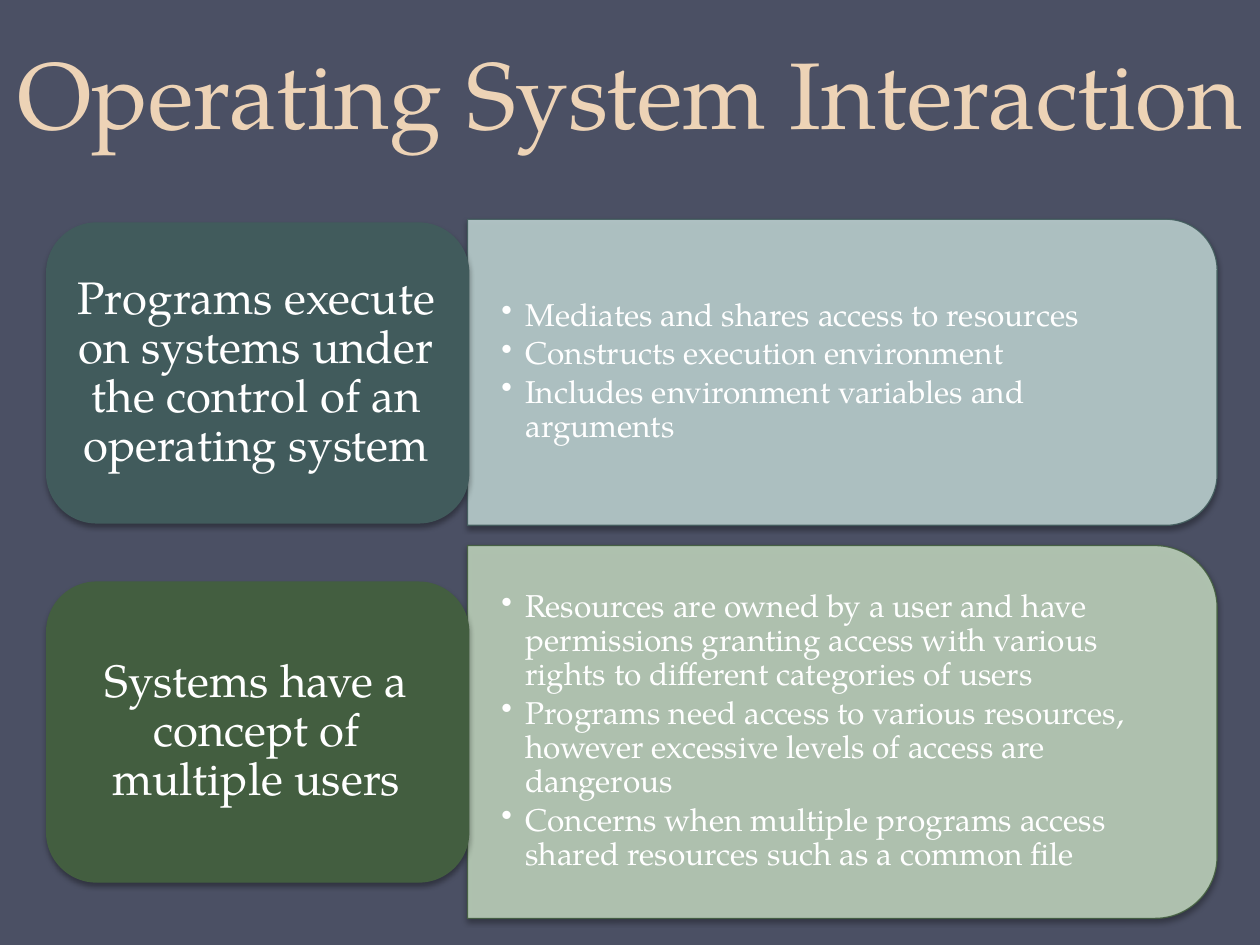
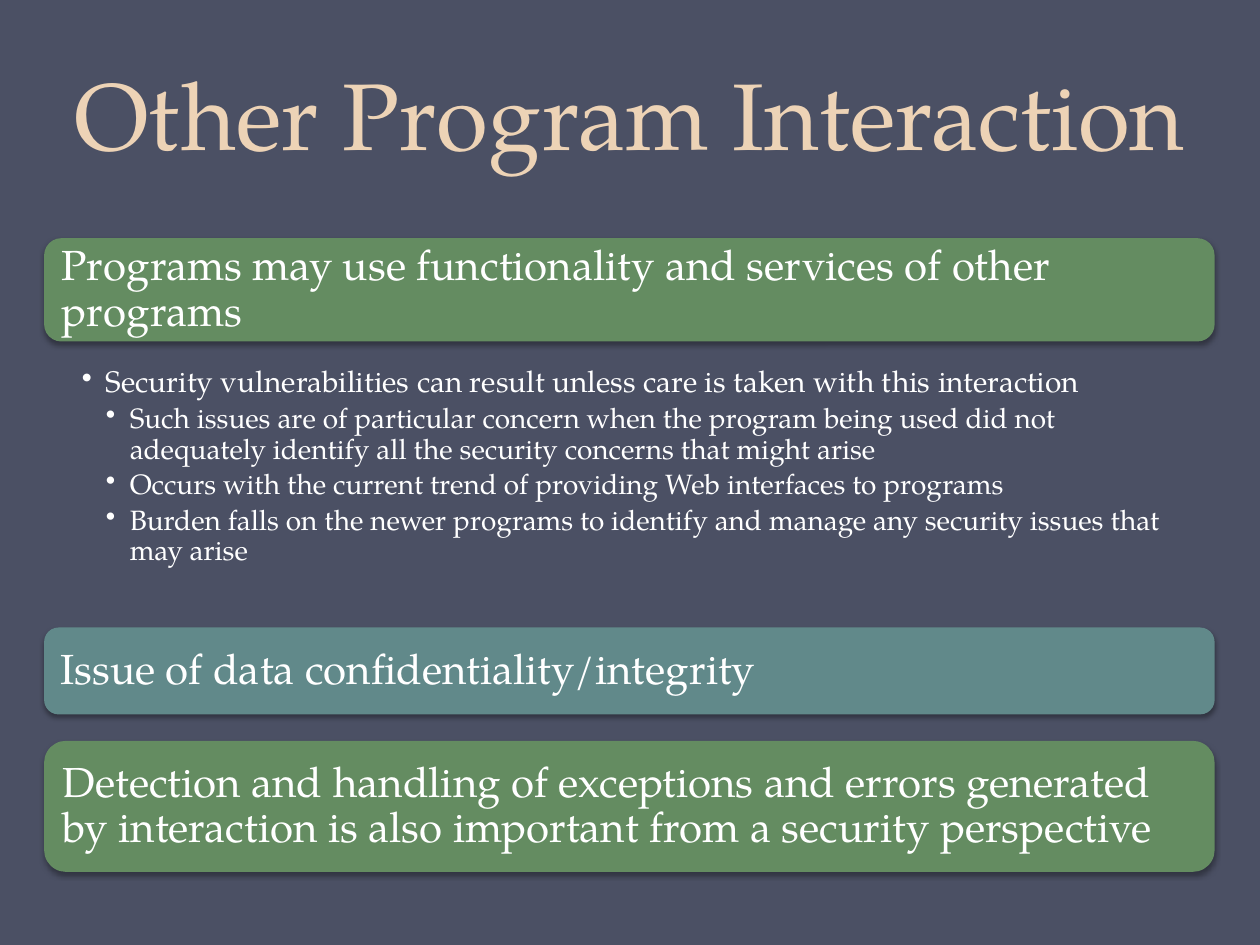
"""Two slides on how programs interact with the operating system and with each other."""
from lxml import etree
from pptx import Presentation
from pptx.dml.color import RGBColor
from pptx.enum.shapes import MSO_SHAPE
from pptx.enum.text import MSO_ANCHOR, PP_ALIGN
from pptx.oxml import parse_xml
from pptx.oxml.ns import nsdecls, qn
from pptx.util import Pt

PX = 9144
FONT = "TeX Gyre Pagella"
BACKGROUND = RGBColor(0x4B, 0x50, 0x64)
TITLE = RGBColor(0xED, 0xD3, 0xB6)
WHITE = RGBColor(0xFF, 0xFF, 0xFF)
DARK_TEAL = RGBColor(0x41, 0x5B, 0x5C)
PALE_TEAL = RGBColor(0xBA, 0xCE, 0xCE)
DARK_GREEN = RGBColor(0x43, 0x5E, 0x40)
PALE_GREEN = RGBColor(0xBC, 0xD0, 0xBA)
TEAL = RGBColor(0x61, 0x89, 0x8A)
GREEN = RGBColor(0x64, 0x8C, 0x61)

ROUND, ROUND_TOP = MSO_SHAPE.ROUNDED_RECTANGLE, MSO_SHAPE.ROUND_2_SAME_RECTANGLE
TOP, MIDDLE, BOTTOM = MSO_ANCHOR.TOP, MSO_ANCHOR.MIDDLE, MSO_ANCHOR.BOTTOM
LEFT, CENTER = PP_ALIGN.LEFT, PP_ALIGN.CENTER
SHADOW = (
    f'<a:effectLst {nsdecls("a")}><a:outerShdw blurRad="39370" dist="22860" dir="5400000" '
    'rotWithShape="0"><a:srgbClr val="000000"><a:alpha val="35000"/></a:srgbClr>'
    '</a:outerShdw></a:effectLst>'
)


def add_panel(s, kind, box, fill, line=None, alpha=None):
    x, y, w, h = box
    if kind == ROUND_TOP:
        x, y, w, h = x + (w - h) / 2, y + (h - w) / 2, h, w
    sp = s.shapes.add_shape(kind, *(round(v * PX) for v in (x, y, w, h)))
    sp.rotation = 90 if kind == ROUND_TOP else 0
    sp.fill.solid()
    sp.fill.fore_color.rgb = fill
    if line is None:
        sp.line.fill.background()
    else:
        sp.line.color.rgb = line
        sp.line.width = Pt(0.75)
    props = sp.fill._xPr
    if alpha:
        for color in props.iter(qn("a:srgbClr")):
            etree.SubElement(color, qn("a:alpha"), val=str(alpha * 1000))
    props.append(parse_xml(SHADOW))


def add_text(s, box, paragraphs, anchor=MIDDLE, align=LEFT, insets=(10, 5),
             color=WHITE, spacing=0.9, after=0):
    x, y, w, h = box
    tf = s.shapes.add_textbox(x * PX, y * PX, w * PX, h * PX).text_frame
    tf.word_wrap = True
    tf.vertical_anchor = anchor
    tf.margin_left = tf.margin_right = insets[0] * PX
    tf.margin_top = tf.margin_bottom = insets[1] * PX
    for i, (text, size, level) in enumerate(paragraphs):
        p = tf.paragraphs[0] if i == 0 else tf.add_paragraph()
        p.alignment = align
        if level:
            p.level = level
            pPr = p._p.get_or_add_pPr()
            pPr.set("marL", str(19 * level * PX))
            pPr.set("indent", str(-19 * PX))
            etree.SubElement(pPr, qn("a:buChar"), char="•")
        p.line_spacing = spacing
        p.space_after = Pt(size * after)
        r = p.add_run()
        r.text = text
        r.font.name = FONT
        r.font.size = Pt(size)
        r.font.color.rgb = color


prs = Presentation()
prs.slide_width, prs.slide_height = 1000 * PX, 750 * PX

slides = []
for title, top, height in [("Operating System Interaction", 3, 120),
                           ("Other Program Interaction", 0, 139)]:
    s = prs.slides.add_slide(prs.slide_layouts[6])
    s.background.fill.solid()
    s.background.fill.fore_color.rgb = BACKGROUND
    add_text(s, (0, top, 1000, height), [(title, 54, 0)], BOTTOM, CENTER,
             color=TITLE, spacing=Pt(58))
    slides.append(s)
system_slide, program_slide = slides

topics = [
    ("Programs execute on systems under the control of an operating system",
     DARK_TEAL, PALE_TEAL, 177, 174, 243, 583,
     ["Mediates and shares access to resources",
      "Constructs execution environment",
      "Includes environment variables and arguments"]),
    ("Systems have a concept of multiple users",
     DARK_GREEN, PALE_GREEN, 462, 433, 296, 580,
     ["Resources are owned by a user and have permissions granting access with "
      "various rights to different categories of users",
      "Programs need access to various resources, however excessive levels of "
      "access are dangerous",
      "Concerns when multiple programs access shared resources such as a common file"]),
]
for heading, dark, pale, head_top, top, height, text_width, points in topics:
    add_panel(system_slide, ROUND_TOP, (371, top, 595, height), pale, dark, 90)
    add_text(system_slide, (371, top + 13, text_width, height - 27),
             [(point, 18, 1) for point in points], insets=(27, 14), after=0.15)
    add_panel(system_slide, ROUND, (37, head_top, 335, 238), dark, dark)
    add_text(system_slide, (48, head_top + 12, 311, 214), [(heading, 26, 0)],
             align=CENTER, insets=(11, 5))

bars = [
    ("Programs may use functionality and services of other programs", GREEN, 189, 82, 4),
    ("Issue of data confidentiality/integrity", TEAL, 498, 69, 3),
    ("Detection and handling of exceptions and errors generated by interaction is "
     "also important from a security perspective", GREEN, 588, 104, 5),
]
for text, fill, top, height, inner in bars:
    add_panel(program_slide, ROUND, (35, top, 929, height), fill)
    add_text(program_slide, (35 + inner, top + inner, 929 - 2 * inner, height - 2 * inner),
             [(text, 24, 0)], insets=(10, 10))

add_text(program_slide, (35, 289, 929, 209), [
    ("Security vulnerabilities can result unless care is taken with this interaction", 17, 1),
    ("Such issues are of particular concern when the program being used did not "
     "adequately identify all the security concerns that might arise", 16, 2),
    ("Occurs with the current trend of providing Web interfaces to programs", 16, 2),
    ("Burden falls on the newer programs to identify and manage any security issues "
     "that may arise", 16, 2),
], TOP, insets=(30, 2), after=0.2)

prs.save("out.pptx")
